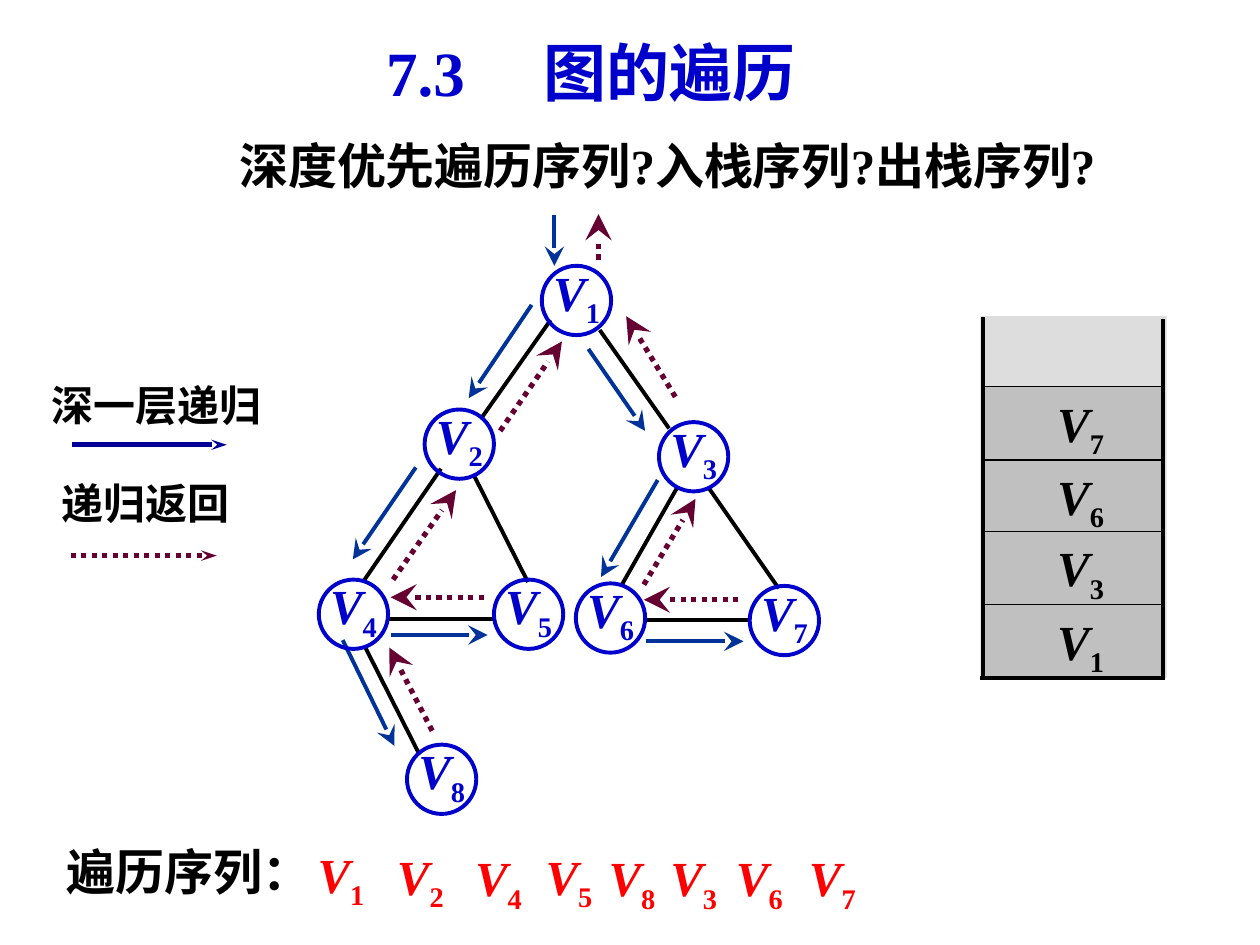
"""Build a slide on depth-first graph traversal with its recursion stack."""
from lxml import etree
from pptx import Presentation
from pptx.dml.color import RGBColor
from pptx.enum.dml import MSO_LINE
from pptx.enum.shapes import MSO_CONNECTOR, MSO_SHAPE
from pptx.enum.text import MSO_ANCHOR, PP_ALIGN
from pptx.oxml.ns import qn
from pptx.util import Pt

PX = 9144
BLACK = RGBColor(0x00, 0x00, 0x00)
BLUE = RGBColor(0x00, 0x00, 0xCC)
LEGEND_BLUE = RGBColor(0x00, 0x00, 0x99)
CALL_BLUE = RGBColor(0x00, 0x33, 0x99)
RETURN_PLUM = RGBColor(0x66, 0x00, 0x33)
RED = RGBColor(0xFF, 0x00, 0x00)
SILVER = RGBColor(0xC0, 0xC0, 0xC0)
PALE = RGBColor(0xDD, 0xDD, 0xDD)
RECT, OVAL = MSO_SHAPE.RECTANGLE, MSO_SHAPE.OVAL
STRAIGHT, DOTTED = MSO_CONNECTOR.STRAIGHT, MSO_LINE.ROUND_DOT
LEFT, CENTER, JUSTIFY = PP_ALIGN.LEFT, PP_ALIGN.CENTER, PP_ALIGN.JUSTIFY
TOP, MIDDLE = MSO_ANCHOR.TOP, MSO_ANCHOR.MIDDLE
SERIF, SANS = "Times New Roman", "Arial"

prs = Presentation()
prs.slide_width, prs.slide_height = 1000 * PX, 750 * PX
s = prs.slides.add_slide(prs.slide_layouts[5])


def add_line(ends, color, width=2.25, dash=None, head=None):
    ln = s.shapes.add_connector(STRAIGHT, *[v * PX for v in ends])
    ln.line.color.rgb = color
    ln.line.width = Pt(width)
    if dash:
        ln.line.dash_style = dash
    if head:
        etree.SubElement(ln.line._get_or_add_ln(), qn("a:tailEnd"),
                         type="stealth", w=head[0], len=head[1])
    etree.SubElement(ln._element.spPr, qn("a:effectLst"))


def set_text(sp, text, color, insets, align=LEFT, size=28, font=SERIF):
    tf = sp.text_frame
    tf.word_wrap = True
    tf.vertical_anchor = TOP
    tf.margin_left, tf.margin_top, tf.margin_right, tf.margin_bottom = [v * PX for v in insets]
    p = tf.paragraphs[0]
    p.alignment = align
    is_vertex = text.startswith("V")
    for part in (text[0], text[1:]) if is_vertex else (text,):
        r = p.add_run()
        r.text = part
        r.font.name, r.font.size, r.font.bold = font, Pt(size), True
        r.font.color.rgb = color
        if is_vertex:
            r.font.italic = part == "V"
            if part != "V":
                r._r.get_or_add_rPr().set("baseline", "-25000")


title = s.shapes.title
title.left, title.top, title.width, title.height = 240 * PX, 28 * PX, 458 * PX, 58 * PX
tf = title.text_frame
tf.vertical_anchor = MIDDLE
p = tf.paragraphs[0]
p.alignment = CENTER
for text, font in (("7.3", SERIF), (" ", SERIF), ("图的遍历", SANS)):
    r = p.add_run()
    r.text = text
    r.font.name, r.font.size, r.font.bold = font, Pt(36), True
    r.font.color.rgb = BLUE
    if text == " ":
        r._r.get_or_add_rPr().set("spc", "3600")

for text, box, insets, align, size, font in (
    ("深度优先遍历序列?入栈序列?出栈序列?", (180, 103, 725, 57), (10, 5, 10, 5), JUSTIFY, 28, SERIF),
    ("深一层递归", (39, 300, 175, 54), (2, 1, 2, 1), JUSTIFY, 24, SERIF),
    ("递归返回", (47, 378, 167, 53), (2, 1, 2, 1), JUSTIFY, 24, SERIF),
    ("遍历序列：", (43, 663, 238, 57), (10, 5, 10, 5), LEFT, 28, SANS),
):
    sp = s.shapes.add_textbox(*[v * PX for v in box])
    set_text(sp, text, BLACK, insets, align, size, font)

add_line((57, 353, 180, 353), LEGEND_BLUE, 3, head=("sm", "med"))
add_line((56, 441, 172, 441), RETURN_PLUM, 3, DOTTED, ("sm", "med"))

stack = [(RECT, 778, 251, 148, 287, PALE, None)]
stack += [(RECT, 780, 307 + round(57.67 * i), 143, 58, SILVER, name)
          for i, name in enumerate(("V7", "V6", "V3", "V1"))]
for kind, x, y, w, h, fill, name in stack:
    sp = s.shapes.add_shape(kind, x * PX, y * PX, w * PX, h * PX)
    sp.shadow.inherit = False
    sp.fill.solid()
    sp.fill.fore_color.rgb = fill
    if name:
        sp.line.color.rgb = BLACK
        sp.line.width = Pt(0.75)
        set_text(sp, name, BLACK, (59, 5, 10, 5))
    else:
        sp.line.fill.background()

stack_walls = [(780, 252, 780, 538), (923, 253, 923, 540), (778, 538, 923, 538)]
edges = [
    (437, 254, 382, 332), (476, 262, 531, 340), (350, 372, 288, 462),
    (376, 377, 419, 462), (393, 491, 309, 491), (290, 514, 333, 599),
    (538, 386, 493, 465), (563, 388, 618, 467), (594, 492, 511, 492),
]
for ends in stack_walls + edges:
    add_line(ends, BLACK)

for ends in (
    (440, 171, 440, 211), (422, 242, 372, 316), (330, 371, 280, 444),
    (310, 504, 387, 504), (272, 508, 313, 592), (467, 277, 512, 342),
    (522, 381, 477, 458), (513, 509, 590, 509),
):
    add_line(ends, CALL_BLUE, head=("lg", "lg"))

for ends in (
    (384, 474, 310, 474), (343, 580, 309, 514), (312, 460, 362, 389),
    (397, 342, 446, 271), (586, 476, 511, 476), (511, 464, 552, 396),
    (536, 315, 497, 251), (475, 206, 475, 170),
):
    add_line(ends, RETURN_PLUM, 3, DOTTED, ("lg", "lg"))

for name, x, y in (
    ("V1", 430, 211), ("V2", 337, 325), ("V3", 523, 335), ("V4", 253, 460),
    ("V5", 392, 460), ("V6", 457, 463), ("V7", 595, 465), ("V8", 323, 591),
):
    sp = s.shapes.add_shape(OVAL, x * PX, y * PX, 55 * PX, 55 * PX)
    sp.shadow.inherit = False
    sp.fill.background()
    sp.line.color.rgb = BLUE
    sp.line.width = Pt(2.25)
    sp = s.shapes.add_textbox((x + 8) * PX, (y - 6) * PX, 51 * PX, 65 * PX)
    set_text(sp, name, BLUE, (1, 3, 0, 1), JUSTIFY)

for name, x, y in (
    ("V1", 250, 669), ("V2", 313, 671), ("V4", 375, 672), ("V5", 431, 671),
    ("V8", 481, 672), ("V3", 530, 672), ("V6", 582, 672), ("V7", 640, 672),
):
    sp = s.shapes.add_textbox(x * PX, y * PX, 62 * PX, 49 * PX)
    set_text(sp, name, RED, (2, 1, 2, 1))

prs.save("out.pptx")
